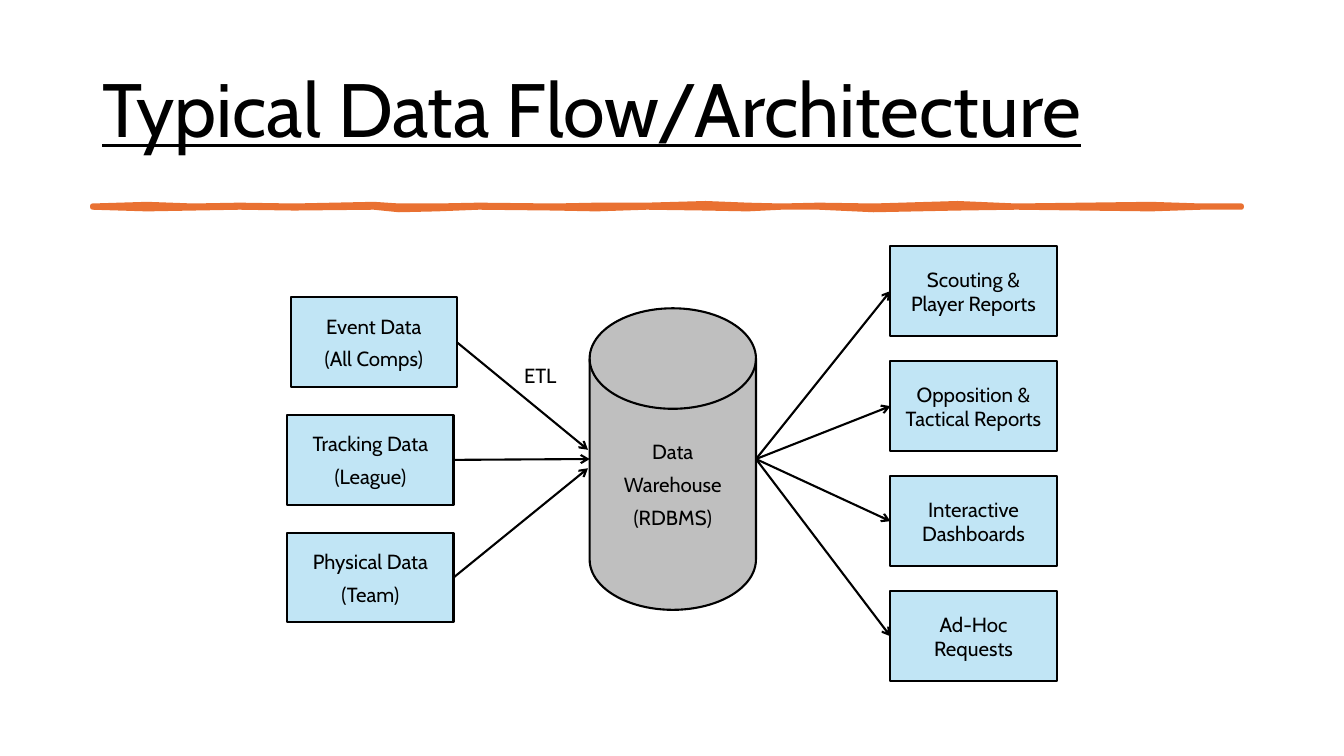
from lxml.etree import SubElement
from pptx import Presentation
from pptx.dml.color import RGBColor
from pptx.enum.shapes import MSO_CONNECTOR, MSO_SHAPE
from pptx.enum.text import MSO_ANCHOR, PP_ALIGN
from pptx.oxml.ns import qn
from pptx.util import Inches, Pt

BLACK = RGBColor(0x00, 0x00, 0x00)
ORANGE = RGBColor(0xE9, 0x71, 0x32)
PALE_BLUE = RGBColor(0xC1, 0xE5, 0xF5)
GREY = RGBColor(0xBF, 0xBF, 0xBF)

FONT = "Cabin"
LABEL_SIZE = 14.6
SLIDE_WIDTH, SLIDE_HEIGHT = Inches(13.33), Inches(7.5)
COLUMNS, ROWS = 16, 9

BOX_WIDTH, BOX_HEIGHT = 1.98, 1.07
SOURCE_TOP, SOURCE_STEP = 3.54, 1.4
REPORT_LEFT, REPORT_TOP, REPORT_STEP = 10.6, 2.93, 1.37
WAREHOUSE_LEFT, WAREHOUSE_TOP, WAREHOUSE_HEIGHT = 7.02, 3.67, 3.59
FLOW_ROW = WAREHOUSE_TOP + WAREHOUSE_HEIGHT / 2

SOURCES = [
    (3.46, ["Event Data", "(All Comps)"], (7, FLOW_ROW - 0.11)),
    (3.42, ["Tracking Data", "(League)"], (WAREHOUSE_LEFT, FLOW_ROW)),
    (3.42, ["Physical Data", "(Team)"], (7, FLOW_ROW + 0.11)),
]
REPORTS = [
    "Scouting & Player Reports",
    "Opposition & Tactical Reports",
    "Interactive Dashboards",
    "Ad-Hoc Requests",
]
RULE_EDGES = [
    (1.1, 2.45, 2.47), (1.75, 2.43, 2.49), (2.3, 2.45, 2.48),
    (2.85, 2.44, 2.47), (3.5, 2.45, 2.48), (4.45, 2.43, 2.47),
    (4.75, 2.45, 2.5), (5.2, 2.45, 2.49), (5.7, 2.44, 2.47),
    (6.6, 2.45, 2.48), (7.1, 2.44, 2.49), (7.7, 2.44, 2.47),
    (8.4, 2.42, 2.48), (8.9, 2.44, 2.49), (9.3, 2.45, 2.47),
    (9.75, 2.44, 2.47), (10.4, 2.45, 2.5), (11.4, 2.42, 2.48),
    (12.1, 2.45, 2.47), (12.9, 2.44, 2.48), (13.7, 2.43, 2.49),
    (14.3, 2.45, 2.47), (14.78, 2.45, 2.47),
]


def across(columns):
    """Convert grid columns to a slide length."""
    return round(SLIDE_WIDTH * columns / COLUMNS)


def down(rows):
    """Convert grid rows to a slide length."""
    return round(SLIDE_HEIGHT * rows / ROWS)


def grid_area(left, top, width, height):
    """Convert a grid area to slide lengths."""
    return across(left), down(top), across(width), down(height)


def write_lines(frame, lines, size, align=PP_ALIGN.LEFT, space_after=6):
    """Write one paragraph per line and return the paragraphs."""
    frame.word_wrap = True
    frame.text = "\n".join(lines)
    for line in frame.paragraphs:
        line.alignment = align
        line.space_after = Pt(space_after)
        line.font.name = FONT
        line.font.size = Pt(size)
        line.font.color.rgb = BLACK
    return frame.paragraphs


def add_title(slide, wording):
    """Add the large underlined heading."""
    frame = slide.shapes.add_textbox(*grid_area(1.1, 0.48, 13.8, 1.74)).text_frame
    frame.vertical_anchor = MSO_ANCHOR.MIDDLE
    heading = write_lines(frame, [wording], 54, space_after=0)[0]
    heading.font.underline = True
    heading.line_spacing = 0.9


def add_brush_rule(slide):
    """Add the uneven orange rule beneath the heading."""
    upper = [(across(x), down(top)) for x, top, _ in RULE_EDGES]
    lower = [(across(x), down(bottom)) for x, _, bottom in reversed(RULE_EDGES)]
    builder = slide.shapes.build_freeform(*upper[0])
    builder.add_line_segments(upper[1:] + lower, close=True)
    rule = builder.convert_to_shape()
    rule.shadow.inherit = False
    rule.fill.solid()
    rule.fill.fore_color.rgb = ORANGE
    rule.line.color.rgb = ORANGE
    rule.line.width = Pt(3.25)


def add_node(slide, kind, area, lines, colour):
    """Add a filled, outlined step of the data flow."""
    node = slide.shapes.add_shape(kind, *grid_area(*area))
    node.shadow.inherit = False
    node.fill.solid()
    node.fill.fore_color.rgb = colour
    node.line.color.rgb = BLACK
    node.line.width = Pt(1.5)
    node.text_frame.vertical_anchor = MSO_ANCHOR.MIDDLE
    write_lines(node.text_frame, lines, LABEL_SIZE, PP_ALIGN.CENTER)


def add_arrow(slide, start, end):
    """Add an open-headed arrow between two grid points."""
    arrow = slide.shapes.add_connector(
        MSO_CONNECTOR.STRAIGHT,
        across(start[0]), down(start[1]), across(end[0]), down(end[1]),
    )
    arrow.line.color.rgb = BLACK
    arrow.line.width = Pt(1.5)
    SubElement(arrow.line._get_or_add_ln(), qn("a:tailEnd"), type="arrow")
    SubElement(arrow._element.spPr, qn("a:effectLst"))


def add_sources(slide):
    """Add the data sources and their arrows into the warehouse."""
    for index, (left, lines, target) in enumerate(SOURCES):
        top = SOURCE_TOP + index * SOURCE_STEP
        area = (left, top, BOX_WIDTH, BOX_HEIGHT)
        add_node(slide, MSO_SHAPE.RECTANGLE, area, lines, PALE_BLUE)
        add_arrow(slide, (left + BOX_WIDTH, top + BOX_HEIGHT / 2), target)


def add_reports(slide):
    """Add the outputs and their arrows from the warehouse."""
    outlet = (WAREHOUSE_LEFT + BOX_WIDTH, FLOW_ROW)
    for index, wording in enumerate(REPORTS):
        top = REPORT_TOP + index * REPORT_STEP
        area = (REPORT_LEFT, top, BOX_WIDTH, BOX_HEIGHT)
        add_node(slide, MSO_SHAPE.RECTANGLE, area, [wording], PALE_BLUE)
        add_arrow(slide, outlet, (REPORT_LEFT, top + BOX_HEIGHT / 2))


def main():
    """Build the data flow slide and save it."""
    deck = Presentation()
    deck.slide_width, deck.slide_height = SLIDE_WIDTH, SLIDE_HEIGHT
    slide = deck.slides.add_slide(deck.slide_layouts[6])
    add_title(slide, "Typical Data Flow/Architecture")
    add_brush_rule(slide)
    warehouse_area = (WAREHOUSE_LEFT, WAREHOUSE_TOP, BOX_WIDTH, WAREHOUSE_HEIGHT)
    add_node(slide, MSO_SHAPE.FLOWCHART_MAGNETIC_DISK, warehouse_area,
             ["Data", "Warehouse", "(RDBMS)"], GREY)
    add_sources(slide)
    add_reports(slide)
    etl_label = slide.shapes.add_textbox(*grid_area(6.12, 4.26, 0.73, 0.42))
    write_lines(etl_label.text_frame, ["ETL"], LABEL_SIZE)
    deck.save("out.pptx")


if __name__ == "__main__":
    main()
